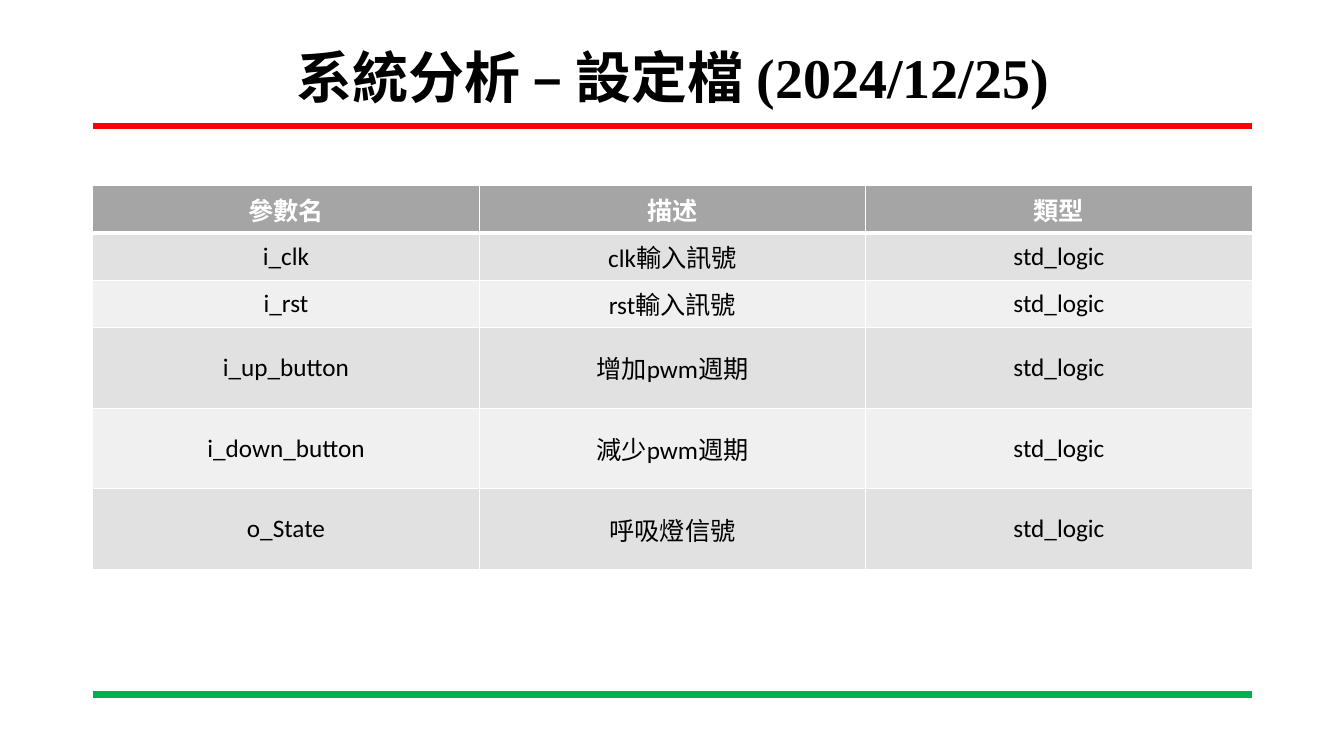
from lxml.etree import SubElement
from pptx import Presentation
from pptx.dml.color import RGBColor
from pptx.enum.shapes import MSO_CONNECTOR
from pptx.enum.text import MSO_ANCHOR, MSO_AUTO_SIZE, PP_ALIGN
from pptx.oxml.ns import qn
from pptx.util import Inches, Pt

TITLE = "系統分析 – 設定檔 (2024/12/25)"
HEADINGS = ("參數名", "描述", "類型")
PARAMETERS = [
    ("i_clk", "clk輸入訊號", "std_logic"),
    ("i_rst", "rst輸入訊號", "std_logic"),
    ("i_up_button", "增加pwm週期", "std_logic"),
    ("i_down_button", "減少pwm週期", "std_logic"),
    ("o_State", "呼吸燈信號", "std_logic"),
]
ROW_HEIGHTS = (0.47, 0.47, 0.47, 0.8, 0.8, 0.8)

BLACK = RGBColor(0x00, 0x00, 0x00)
WHITE = RGBColor(0xFF, 0xFF, 0xFF)
RED = RGBColor(0xFF, 0x00, 0x00)
GREEN = RGBColor(0x00, 0xB0, 0x50)
HEADER_GRAY = RGBColor(0xA5, 0xA5, 0xA5)
BANDS = (RGBColor(0xE1, 0xE1, 0xE1), RGBColor(0xF0, 0xF0, 0xF0))

LEFT, WIDTH = 0.92, 11.5
RULES = ((1.25, RED), (6.89, GREEN))


def write_text(frame, text, *, font="Calibri", size=18, color=BLACK, bold=False, spacing=1.0):
    """Put one centred, formatted line of text into a text frame."""
    paragraph = frame.paragraphs[0]
    paragraph.alignment = PP_ALIGN.CENTER
    paragraph.line_spacing = spacing
    run = paragraph.add_run()
    run.text = text
    run.font.name = font
    run.font.size = Pt(size)
    run.font.bold = bold
    run.font.color.rgb = color


def add_rule(slide, top, color):
    """Draw a thick horizontal rule across the content width."""
    rule = slide.shapes.add_connector(
        MSO_CONNECTOR.STRAIGHT, Inches(LEFT), Inches(top), Inches(LEFT + WIDTH), Inches(top))
    rule.line.color.rgb = color
    rule.line.width = Pt(4.5)
    SubElement(rule._element.spPr, qn("a:effectLst"))


def set_borders(cell, widths):
    """Give a cell white borders, with widths in points by side."""
    properties = cell._tc.get_or_add_tcPr()
    for position, (side, width) in enumerate(widths.items()):
        border = properties.makeelement(qn(f"a:ln{side}"), {"w": str(Pt(width))})
        fill = SubElement(border, qn("a:solidFill"))
        SubElement(fill, qn("a:srgbClr"), val=str(WHITE))
        properties.insert(position, border)


def add_parameter_table(slide):
    """Build the parameter table with a header and alternating bands."""
    rows = [HEADINGS, *PARAMETERS]
    table = slide.shapes.add_table(
        len(rows), len(HEADINGS), Inches(LEFT), Inches(1.84),
        Inches(WIDTH), Inches(sum(ROW_HEIGHTS))).table
    for row, height in zip(table.rows, ROW_HEIGHTS):
        row.height = Inches(height)
    for r, values in enumerate(rows):
        header = r == 0
        for c, value in enumerate(values):
            cell = table.cell(r, c)
            cell.vertical_anchor = MSO_ANCHOR.MIDDLE
            cell.fill.solid()
            cell.fill.fore_color.rgb = HEADER_GRAY if header else BANDS[(r - 1) % 2]
            set_borders(cell, {"L": 1, "R": 1, "T": 3 if r == 1 else 1, "B": 3 if header else 1})
            write_text(cell.text_frame, value, color=WHITE if header else BLACK, bold=header)


def main():
    """Build and save the slide."""
    presentation = Presentation()
    presentation.slide_width, presentation.slide_height = Inches(13.33), Inches(7.5)
    slide = presentation.slides.add_slide(presentation.slide_layouts[5])

    title = slide.shapes.title
    title.left, title.top = Inches(LEFT), Inches(0.4)
    title.width, title.height = Inches(WIDTH), Inches(0.79)
    title.text_frame.vertical_anchor = MSO_ANCHOR.MIDDLE
    title.text_frame.auto_size = MSO_AUTO_SIZE.NONE
    write_text(title.text_frame, TITLE, font="Times New Roman", size=40, bold=True, spacing=0.9)

    for top, color in RULES:
        add_rule(slide, top, color)
    add_parameter_table(slide)
    presentation.save("out.pptx")


if __name__ == "__main__":
    main()
